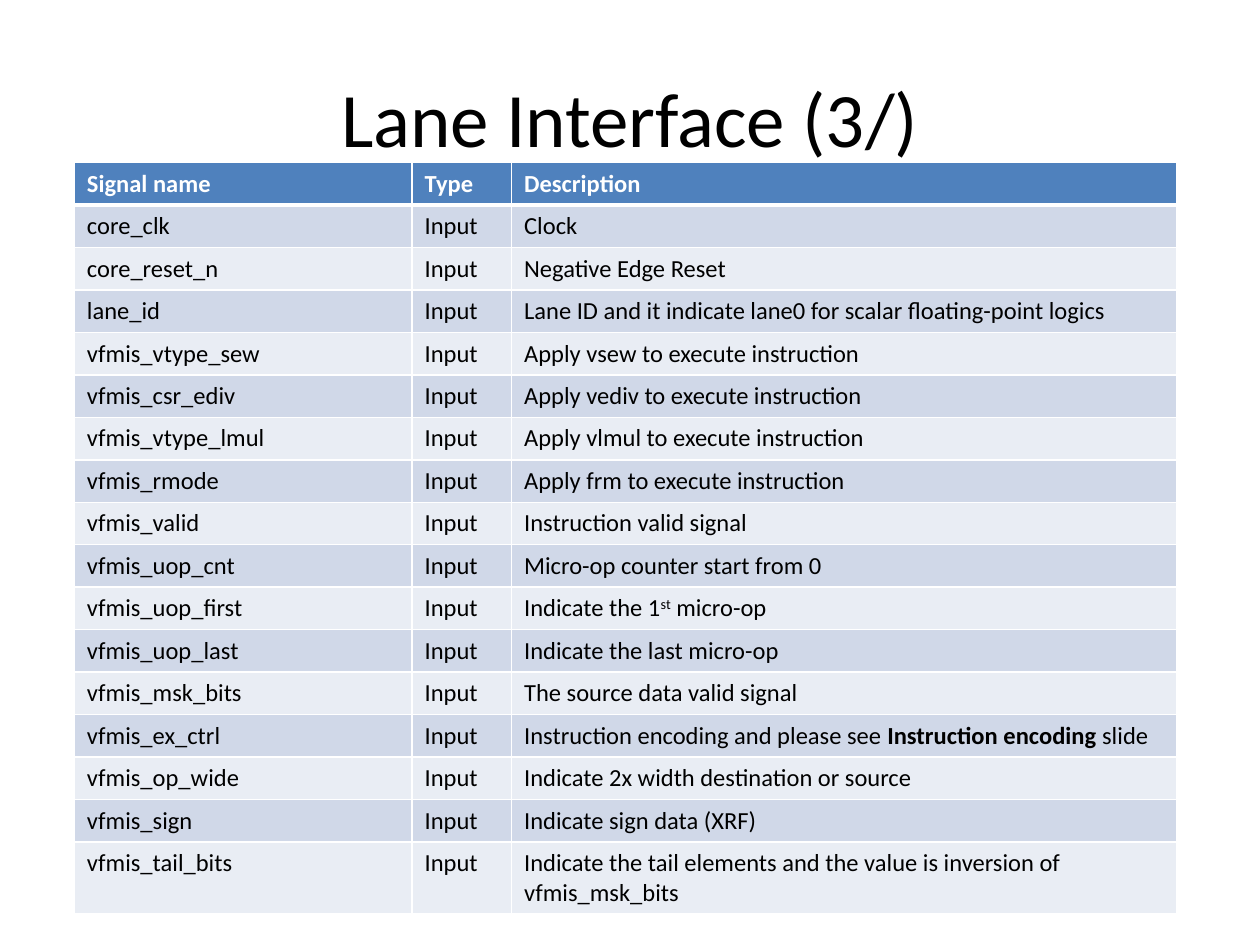
from pptx import Presentation
from pptx.dml.color import RGBColor
from pptx.enum.text import MSO_ANCHOR, PP_ALIGN
from pptx.oxml.ns import qn
from pptx.util import Inches, Pt
from lxml import etree

CENTER = PP_ALIGN.CENTER
MIDDLE = MSO_ANCHOR.MIDDLE
TITLE_ONLY = 5
FONT = "Calibri"
COLORS = {
    "text": "000000",
    "header": "4F81BD",
    "header_text": "FFFFFF",
    "border": "FFFFFF",
    "odd_band": "D0D8E8",
    "even_band": "E9EDF4",
}
COLUMN_WIDTHS = (2.68, 0.79, 5.28)
ROW_HEIGHT = 0.25
HEADINGS = ("Signal name", "Type", "Description")
SIGNALS = [
    ("core_clk", "Clock"),
    ("core_reset_n", "Negative Edge Reset"),
    ("lane_id", "Lane ID and it indicate lane0 for scalar floating-point logics"),
    ("vfmis_vtype_sew", "Apply vsew to execute instruction"),
    ("vfmis_csr_ediv", "Apply vediv to execute instruction"),
    ("vfmis_vtype_lmul", "Apply vlmul to execute instruction"),
    ("vfmis_rmode", "Apply frm to execute instruction"),
    ("vfmis_valid", "Instruction valid signal"),
    ("vfmis_uop_cnt", "Micro-op counter start from 0"),
    ("vfmis_uop_first", [("Indicate the 1", ""), ("st", "superscript"), (" micro-op", "")]),
    ("vfmis_uop_last", "Indicate the last micro-op"),
    ("vfmis_msk_bits", "The source data valid signal"),
    ("vfmis_ex_ctrl", [
        ("Instruction encoding and please see ", ""),
        ("Instruction encoding ", "bold"),
        ("slide", ""),
    ]),
    ("vfmis_op_wide", "Indicate 2x width destination or source"),
    ("vfmis_sign", "Indicate sign data (XRF)"),
    ("vfmis_tail_bits",
     "Indicate the tail elements and the value is inversion of vfmis_msk_bits"),
]


def add_run(paragraph, text, size, color, style=""):
    run = paragraph.add_run()
    run.text = text
    run.font.name = FONT
    run.font.size = Pt(size)
    run.font.bold = style == "bold"
    run.font.color.rgb = RGBColor.from_string(COLORS[color])
    if style == "superscript":
        run._r.get_or_add_rPr().set("baseline", "30000")


def add_title(slide, text):
    title = slide.shapes.title
    title.left, title.top = Inches(0.5), Inches(0.3)
    title.width, title.height = Inches(9), Inches(1.25)
    title.text_frame.vertical_anchor = MIDDLE
    paragraph = title.text_frame.paragraphs[0]
    paragraph.alignment = CENTER
    add_run(paragraph, text, 44, "text")


def set_borders(cell, top, bottom):
    properties = cell._tc.get_or_add_tcPr()
    for tag, width in (("a:lnL", 1), ("a:lnR", 1), ("a:lnT", top), ("a:lnB", bottom)):
        line = etree.SubElement(properties, qn(tag), w=str(Pt(width)))
        fill = etree.SubElement(line, qn("a:solidFill"))
        etree.SubElement(fill, qn("a:srgbClr"), val=COLORS["border"])


def fill_cell(cell, content, row_index):
    is_header = row_index == 0
    set_borders(cell, 3 if row_index == 1 else 1, 3 if is_header else 1)
    band = "header" if is_header else "odd_band" if row_index % 2 else "even_band"
    cell.fill.solid()
    cell.fill.fore_color.rgb = RGBColor.from_string(COLORS[band])
    if isinstance(content, str):
        content = [(content, "bold" if is_header else "")]
    paragraph = cell.text_frame.paragraphs[0]
    for text, style in content:
        add_run(paragraph, text, 14, "header_text" if is_header else "text", style)


def add_signal_table(slide):
    rows = [HEADINGS] + [(name, "Input", description) for name, description in SIGNALS]
    frame = slide.shapes.add_table(
        len(rows), len(HEADINGS), Inches(0.59), Inches(1.29),
        Inches(sum(COLUMN_WIDTHS)), Inches(ROW_HEIGHT * len(rows)),
    )
    table = frame.table
    for column, width in zip(table.columns, COLUMN_WIDTHS):
        column.width = Inches(width)
    for row_index, contents in enumerate(rows):
        table.rows[row_index].height = Inches(ROW_HEIGHT)
        for column_index, content in enumerate(contents):
            fill_cell(table.cell(row_index, column_index), content, row_index)
    frame.height = Inches(5.9)


def main():
    presentation = Presentation()
    presentation.slide_width = Inches(10)
    presentation.slide_height = Inches(7.5)
    slide = presentation.slides.add_slide(presentation.slide_layouts[TITLE_ONLY])
    add_title(slide, "Lane Interface (3/)")
    add_signal_table(slide)
    presentation.save("out.pptx")


if __name__ == "__main__":
    main()
